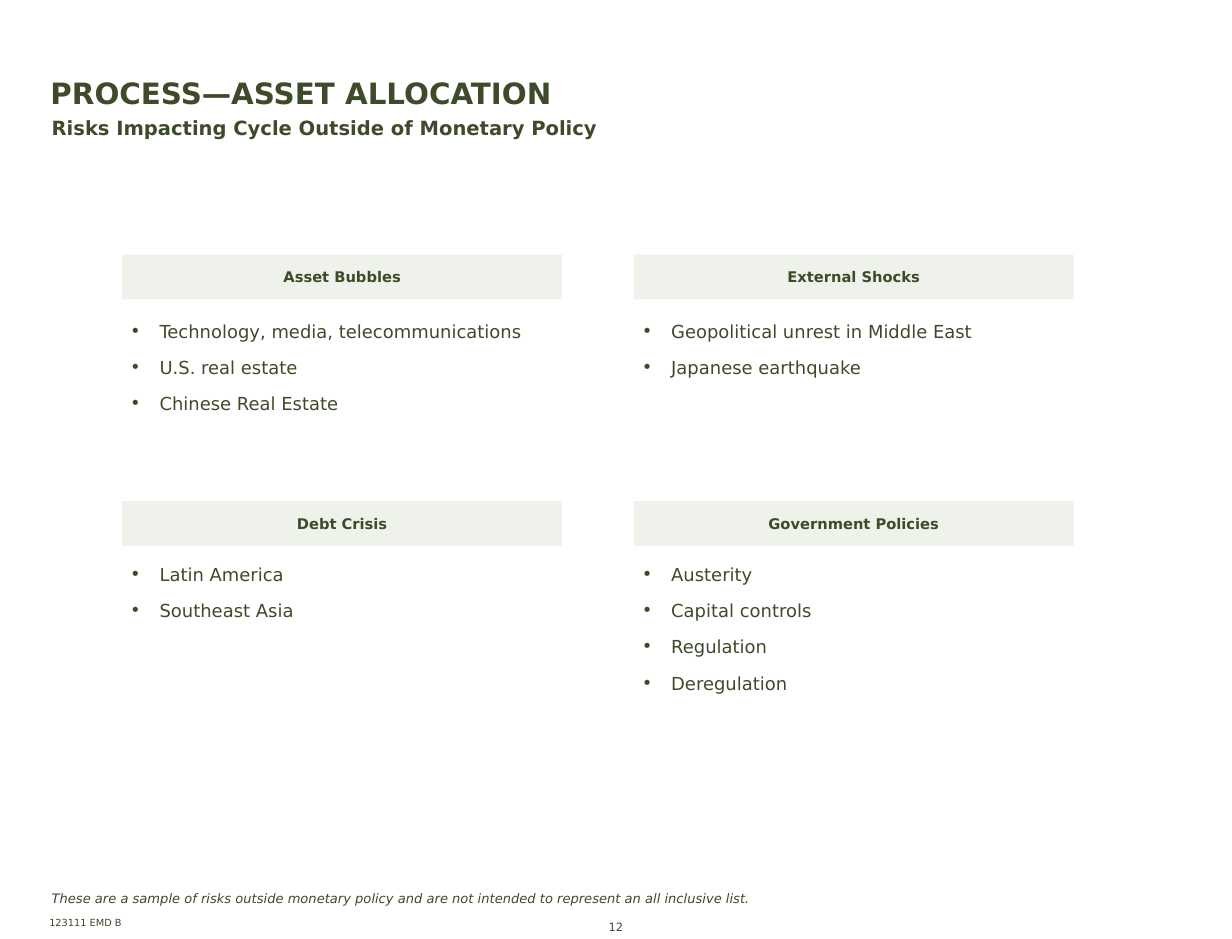
from lxml.etree import SubElement
from pptx import Presentation
from pptx.dml.color import RGBColor
from pptx.enum.shapes import MSO_SHAPE
from pptx.enum.text import MSO_ANCHOR, MSO_AUTO_SIZE, PP_ALIGN
from pptx.oxml.ns import qn
from pptx.util import Inches, Pt

FONT = "DejaVu Sans"
TITLE_GREEN = RGBColor(0x3D, 0x4B, 0x2B)
TEXT_GREEN = RGBColor(0x3D, 0x4B, 0x2A)
PALE_GREEN = RGBColor(0xEF, 0xF2, 0xEA)

COLUMN_LEFT, COLUMN_STEP = 1.04, 4.36
ROW_TOP, ROW_STEP = 2.17, 2.1
PANEL_WIDTH, HEADER_HEIGHT = 3.75, 0.38
LIST_INDENT = 0.07
RISKS = [
    [
        ("Asset Bubbles", 4.07, ["Technology, media, telecommunications",
                                 "U.S. real estate", "Chinese Real Estate"]),
        ("External Shocks", 3.75, ["Geopolitical unrest in Middle East",
                                   "Japanese earthquake"]),
    ],
    [
        ("Debt Crisis", 3.75, ["Latin America", "Southeast Asia"]),
        ("Government Policies", 3.75, ["Austerity", "Capital controls",
                                       "Regulation", "Deregulation"]),
    ],
]
LIST_OFFSETS = [0.56, 0.53]


def add_bullet(para):
    properties = para._p.get_or_add_pPr()
    properties.set("marL", str(Inches(0.25)))
    properties.set("indent", str(Inches(-0.25)))
    SubElement(properties, qn("a:buFont")).set("typeface", FONT)
    SubElement(properties, qn("a:buChar")).set("char", "•")


def write_text(shape, lines, size, color=TEXT_GREEN, bold=False, italic=False,
               align=PP_ALIGN.LEFT, anchor=MSO_ANCHOR.TOP, margin=0,
               wrap=True, before=0, bullets=False):
    frame = shape.text_frame
    frame.auto_size = MSO_AUTO_SIZE.NONE
    frame.word_wrap = wrap
    frame.vertical_anchor = anchor
    frame.margin_left = frame.margin_right = Inches(margin)
    frame.margin_top = frame.margin_bottom = Inches(margin)
    for index, line in enumerate(lines):
        para = frame.add_paragraph() if index else frame.paragraphs[0]
        para.alignment = align
        para.space_before = Pt(before)
        if bullets:
            add_bullet(para)
        span = para.add_run()
        span.text = line
        span.font.name = FONT
        span.font.size = Pt(size)
        span.font.bold = bold
        span.font.italic = italic
        span.font.color.rgb = color


def add_text(page, box, lines, size, **formatting):
    shape = page.shapes.add_textbox(*map(Inches, box))
    write_text(shape, lines, size, **formatting)


def add_heading(page, left, top, width):
    title = page.shapes.title
    title.left, title.top = Inches(left), Inches(top)
    title.width, title.height = Inches(width), Inches(0.64)
    write_text(title, ["PROCESS—ASSET ALLOCATION"], 18, color=TITLE_GREEN,
               bold=True, anchor=MSO_ANCHOR.BOTTOM)
    add_text(page, (left + 0.01, top + 0.69, 4.71, 0.2),
             ["Risks Impacting Cycle Outside of Monetary Policy"], 12,
             color=TITLE_GREEN, bold=True, wrap=False)


def add_risk_panel(page, left, top, heading, list_width, risks, list_offset):
    header = page.shapes.add_shape(
        MSO_SHAPE.RECTANGLE, Inches(left), Inches(top),
        Inches(PANEL_WIDTH), Inches(HEADER_HEIGHT))
    header.shadow.inherit = False
    header.fill.solid()
    header.fill.fore_color.rgb = PALE_GREEN
    header.line.fill.background()
    write_text(header, [heading], 9, bold=True, align=PP_ALIGN.CENTER,
               anchor=MSO_ANCHOR.MIDDLE, margin=0.11)
    list_height = 0.31 * len(risks) - 0.12
    add_text(page, (left + LIST_INDENT, top + list_offset, list_width, list_height),
             risks, 11, before=9, bullets=True)


def add_footer(page, left, top):
    add_text(page, (left + 0.02, top, 8.48, 0.13),
             ["These are a sample of risks outside monetary policy and are not "
              "intended to represent an all inclusive list."],
             8, italic=True, anchor=MSO_ANCHOR.BOTTOM)
    add_text(page, (left, top + 0.22, 0.62, 0.1), ["123111 EMD B"], 6,
             anchor=MSO_ANCHOR.BOTTOM, wrap=False)
    add_text(page, (left + 4.72, top + 0.25, 0.17, 0.12), ["12"], 7,
             align=PP_ALIGN.RIGHT, wrap=False)


def main():
    deck = Presentation()
    deck.slide_width, deck.slide_height = Inches(10.5), Inches(8)
    page = deck.slides.add_slide(deck.slide_layouts[5])
    add_heading(page, 0.43, 0.3, 9.75)
    for row, panels in enumerate(RISKS):
        for column, (heading, list_width, risks) in enumerate(panels):
            add_risk_panel(page, COLUMN_LEFT + column * COLUMN_STEP,
                           ROW_TOP + row * ROW_STEP, heading, list_width,
                           risks, LIST_OFFSETS[row])
    add_footer(page, 0.42, 7.59)
    deck.save("out.pptx")


if __name__ == "__main__":
    main()
